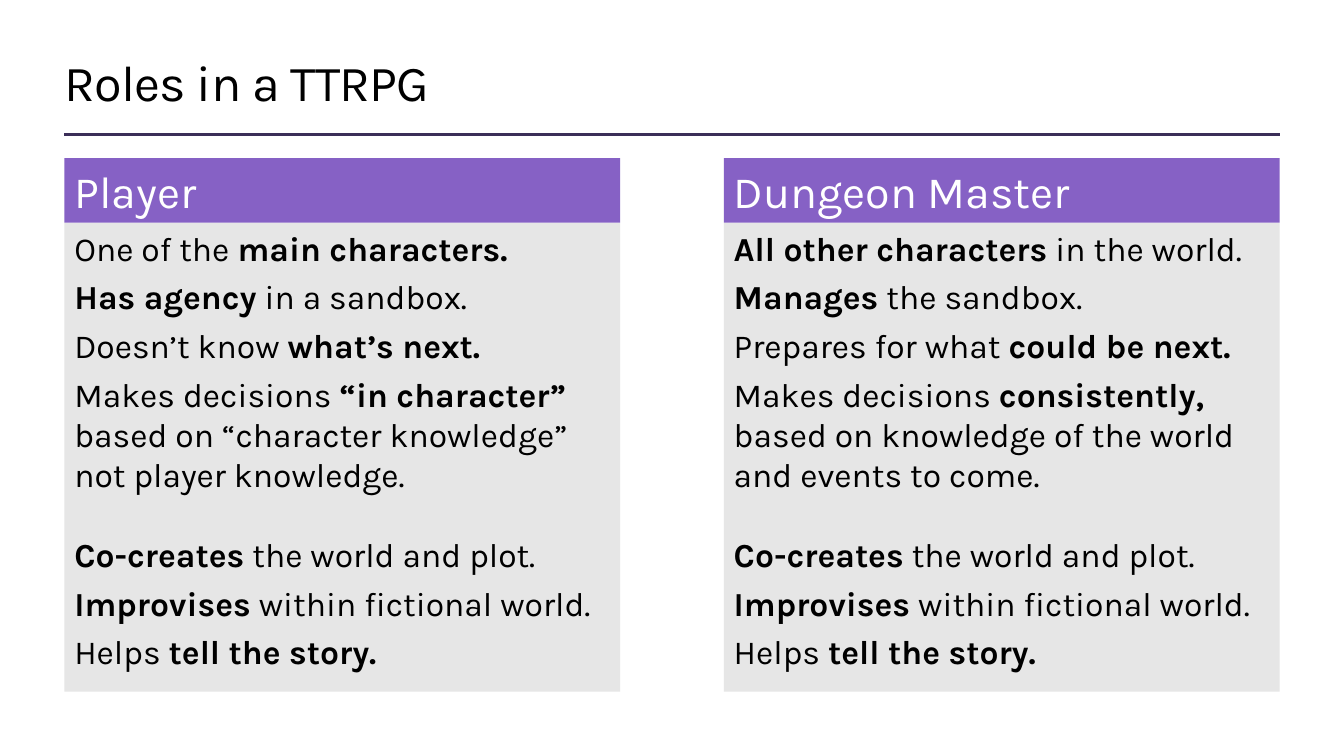
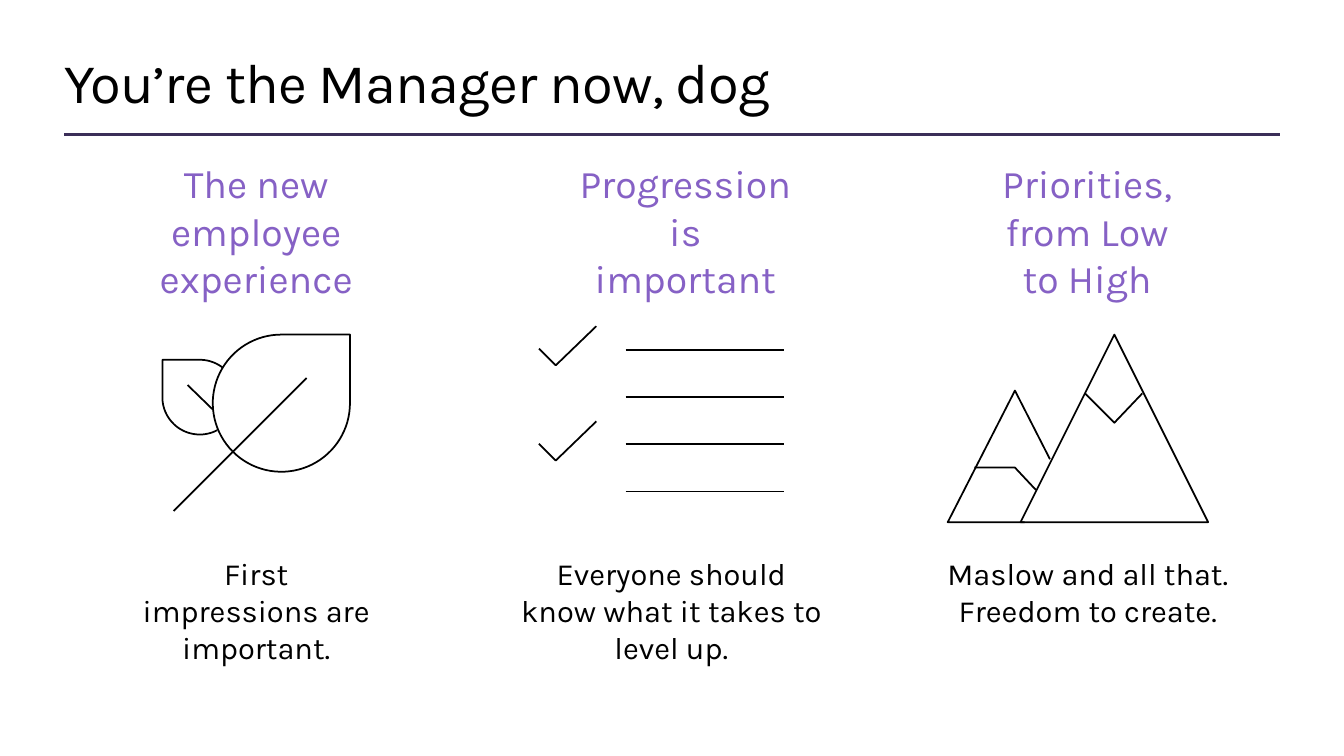
"""Build two slides on the roles and the duties in a role-playing game."""
import math

import lxml.etree
import pptx
import pptx.dml.color
import pptx.enum.shapes
import pptx.enum.text
import pptx.oxml.ns
import pptx.util

Pt = pptx.util.Pt
ALIGN = pptx.enum.text.PP_ALIGN
ANCHOR = pptx.enum.text.MSO_ANCHOR
SHAPE = pptx.enum.shapes.MSO_SHAPE
FONT = "Karla"
HUES = {"ink": "000000", "rule": "3B2E58", "band": "8661C5", "panel": "E6E6E6", "white": "FFFFFF"}
LEFT, WIDTH = 46, 868

SHARED = [
    ("*Co-creates* the world and plot.", 6),
    ("*Improvises* within fictional world.", 6),
    ("Helps *tell the story.*", 0),
]
ROLES = [
    ("Player", [
        ("One of the *main characters.*", 6),
        ("*Has agency* in a sandbox.", 6),
        ("Doesn’t know *what’s next.*", 6),
        ("Makes decisions *“in character”* based on “character knowledge” not player knowledge.", 28),
    ]),
    ("Dungeon Master", [
        ("*All other characters* in the world.", 6),
        ("*Manages* the sandbox.", 6),
        ("Prepares for what *could be next.*", 6),
        ("Makes decisions *consistently,* based on knowledge of the world and events to come.", 28),
    ]),
]
THEMES = [
    ("The new employee experience", 95, 176, ["First impressions are important."], 95, 176),
    ("Progression is important", 413, 153,
     ["Everyone should know what it takes to level up."], 372, 215),
    ("Priorities, from Low to High", 714, 125,
     ["Maslow and all that.", "Freedom to create."], 662, 230),
]


def hue(name):
    return pptx.dml.color.RGBColor.from_string(HUES[name])


def write(shape, lines, size, color, anchor, align=ALIGN.LEFT, inset=(0, 0)):
    frame = shape.text_frame
    frame.word_wrap = True
    frame.vertical_anchor = anchor
    frame.margin_left = frame.margin_right = Pt(inset[0])
    frame.margin_top = frame.margin_bottom = Pt(inset[1])
    for i, (text, after) in enumerate(lines):
        para = frame.add_paragraph() if i else frame.paragraphs[0]
        para.alignment = align
        para.space_after = Pt(after)
        para.font.name = FONT
        para.font.size = Pt(size)
        para.font.color.rgb = hue(color)
        for j, part in enumerate(text.split("*")):
            if part:
                run = para.add_run()
                run.text = part
                if j % 2:
                    run.font.bold = True


def label(slide, box, lines, size, color, anchor, align=ALIGN.CENTER):
    shape = slide.shapes.add_textbox(*map(Pt, box))
    write(shape, [(line, 0) for line in lines], size, color, anchor, align)
    return shape


def panel(slide, box, fill, lines, size, color, anchor):
    shape = slide.shapes.add_shape(SHAPE.RECTANGLE, *map(Pt, box))
    shape.shadow.inherit = False
    shape.fill.solid()
    shape.fill.fore_color.rgb = hue(fill)
    shape.line.fill.background()
    write(shape, lines, size, color, anchor, inset=(7.2, 3.6))


def start(deck, title, size):
    slide = deck.slides.add_slide(deck.slide_layouts[6])
    rule = slide.shapes.add_connector(
        pptx.enum.shapes.MSO_CONNECTOR.STRAIGHT, Pt(LEFT), Pt(96), Pt(LEFT + WIDTH), Pt(96))
    rule.line.color.rgb = hue("rule")
    rule.line.width = Pt(2)
    lxml.etree.SubElement(rule._element.spPr, pptx.oxml.ns.qn("a:effectLst"))
    head = label(slide, (LEFT, 34, WIDTH, 48), [title], size, "ink", ANCHOR.MIDDLE, ALIGN.LEFT)
    for run in head.text_frame.paragraphs[0].runs:
        run._r.get_or_add_rPr().set("spc", "-50")
    return slide


def draw(slide, paths):
    paths = [[(Pt(x), Pt(y)) for x, y in path] for path in paths]
    pen = slide.shapes.build_freeform(*paths[0][0], scale=1.0)
    for i, path in enumerate(paths):
        if i:
            pen.move_to(*path[0])
        closed = path[0] == path[-1]
        pen.add_line_segments(path[1:-1] if closed else path[1:], close=closed)
    shape = pen.convert_to_shape()
    shape.shadow.inherit = False
    shape.fill.background()
    shape.line.color.rgb = hue("ink")
    shape.line.width = Pt(1.25)


def arc(x, y, radius, first, last):
    steps = max(1, round(abs(last - first) / 4))
    turns = [math.radians(first + (last - first) * i / steps) for i in range(steps + 1)]
    return [(x + radius * math.cos(t), y + radius * math.sin(t)) for t in turns]


def leaves(slide):
    tip = (250, 239)
    draw(slide, [
        [tip, *arc(201, 288, 49, 0, 270), tip],
        [(124, 365), (219, 270)],
        [(134, 275), (152, 292.5)],
        [*arc(142.7, 283.7, 26.7, -52, -90), (116, 257), *arc(142.7, 283.7, 26.7, 180, 62)],
    ])


def checks(slide):
    bars = [[(447, 250 + 33.7 * i), (560, 250 + 33.7 * i)] for i in range(4)]
    ticks = [[(385, 249 + y), (397, 261 + y), (426, 233 + y)] for y in (0, 68)]
    draw(slide, bars + ticks)


def peaks(slide):
    draw(slide, [
        [(863, 373), (796, 239), (729, 373), (863, 373)],
        [(732, 373), (677, 373), (725, 279), (750, 328)],
        [(816, 281), (796, 302), (775, 281)],
        [(696, 334), (725, 334), (740, 350)],
    ])


def roles(deck):
    slide = start(deck, "Roles in a TTRPG", 36)
    wide = 397
    for i, (name, lines) in enumerate(ROLES):
        left = LEFT + i * (WIDTH - wide)
        panel(slide, (left, 159, wide, 335), "panel", lines + SHARED, 24, "ink", ANCHOR.TOP)
        panel(slide, (left, 113, wide, 46), "band", [(name, 0)], 32, "white", ANCHOR.BOTTOM)


def themes(deck):
    slide = start(deck, "You’re the Manager now, dog", 40)
    for head, left, wide, lines, x, span in THEMES:
        label(slide, (left, 113, wide, 102), [head], 28, "band", ANCHOR.BOTTOM)
        label(slide, (x, 396, span, 80), lines, 22, "ink", ANCHOR.TOP)
    for icon in (leaves, checks, peaks):
        icon(slide)


def main():
    deck = pptx.Presentation()
    deck.slide_width, deck.slide_height = Pt(960), Pt(540)
    roles(deck)
    themes(deck)
    deck.save("out.pptx")


if __name__ == "__main__":
    main()
